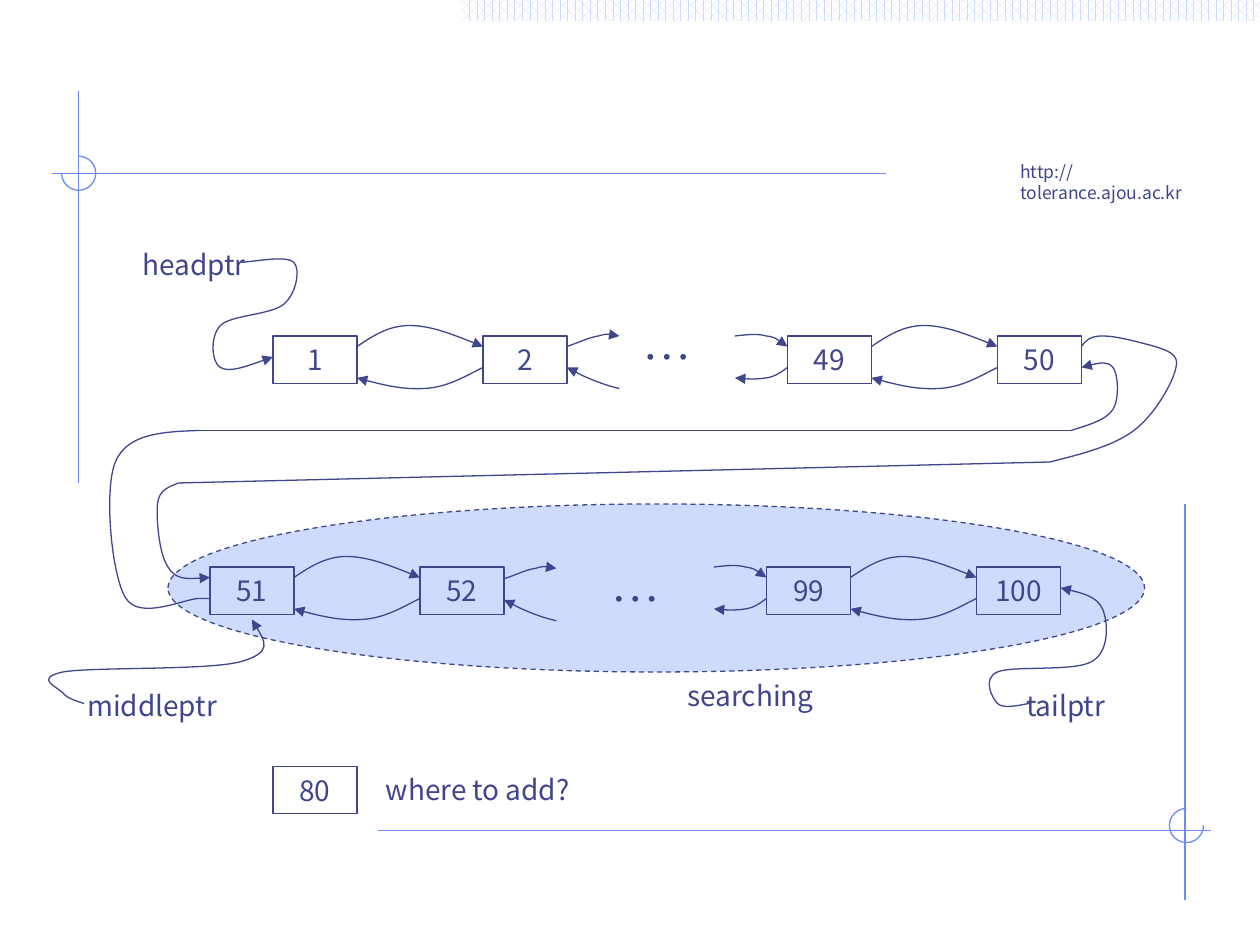
"""Build a slide on adding a node to a doubly linked list with a middle pointer."""
from lxml.etree import SubElement
from pptx import Presentation
from pptx.dml.color import RGBColor
from pptx.enum.dml import MSO_LINE, MSO_PATTERN
from pptx.enum.shapes import MSO_CONNECTOR, MSO_SHAPE
from pptx.enum.text import MSO_ANCHOR, PP_ALIGN
from pptx.oxml.ns import qn
from pptx.util import Pt

PX = 9525
INK = RGBColor(0x40, 0x45, 0x8C)
RULE = RGBColor(0x6F, 0x89, 0xF7)
PALE = RGBColor(0xCF, 0xDB, 0xFD)
WHITE = RGBColor(0xFF, 0xFF, 0xFF)
SANS = "Noto Sans CJK KR"
NODE_W, NODE_H = 64, 36

prs = Presentation()
prs.slide_width, prs.slide_height = 960 * PX, 720 * PX
s = prs.slides.add_slide(prs.slide_layouts[6])


def write(sp, text, size=16, font=SANS, align=PP_ALIGN.CENTER, wrap=True):
    tf = sp.text_frame
    tf.word_wrap = wrap
    p = tf.paragraphs[0]
    p.text = text
    p.alignment = align
    p.font.size = Pt(size)
    p.font.name = font
    p.font.color.rgb = INK


def curve(points, x=0, y=0, arrow=True):
    pts = [(x + dx, y + dy) for dx, dy in points]
    fb = s.shapes.build_freeform(*pts[0], scale=PX)
    fb.add_line_segments(pts[1:], close=False)
    sp = fb.convert_to_shape()
    sp.shadow.inherit = False
    sp.fill.background()
    sp.line.color.rgb = INK
    sp.line.width = Pt(0.75)
    outline = sp._element.find(".//" + qn("a:path"))
    segments = list(outline)[1:]
    for i in range(0, len(segments), 3):
        bezier = SubElement(outline, qn("a:cubicBezTo"))
        for segment in segments[i:i + 3]:
            bezier.append(segment[0])
            outline.remove(segment)
    if arrow:
        SubElement(sp.line._get_or_add_ln(), qn("a:tailEnd"), type="triangle")


band = s.shapes.add_shape(MSO_SHAPE.RECTANGLE, 352 * PX, 0, 608 * PX, 16 * PX)
band.shadow.inherit = False
band.fill.patterned()
band.fill.pattern = MSO_PATTERN.PERCENT_60
band.fill.fore_color.rgb = PALE
band.fill.back_color.rgb = WHITE
band.line.fill.background()

url = s.shapes.add_textbox(768 * PX, 118 * PX, 182 * PX, 26 * PX)
write(url, "http://tolerance.ajou.ac.kr", 10, align=PP_ALIGN.LEFT, wrap=False)

for x1, y1, x2, y2, color in [
    (288, 633, 923, 633, RULE), (903, 384, 903, 686, RULE),
    (60, 69, 60, 368, RULE), (675, 132, 40, 132, RULE),
    (800, 352, 136, 368, INK), (152, 328, 816, 328, INK),
]:
    line = s.shapes.add_connector(MSO_CONNECTOR.STRAIGHT, x1 * PX, y1 * PX, x2 * PX, y2 * PX)
    line.line.color.rgb = color
    line.line.width = Pt(0.75)
    SubElement(line._element.spPr, qn("a:effectLst"))

for x, y, start, end in [(891, 616, 0, 162), (47, 119, 162, 108)]:
    arc = s.shapes.add_shape(MSO_SHAPE.ARC, x * PX, y * PX, 26 * PX, 26 * PX)
    arc.adjustments[0], arc.adjustments[1] = start, end
    arc.shadow.inherit = False
    arc.fill.background()
    arc.line.color.rgb = RULE
    arc.line.width = Pt(0.75)

area = s.shapes.add_shape(MSO_SHAPE.OVAL, 128 * PX, 384 * PX, 744 * PX, 128 * PX)
area.shadow.inherit = False
area.fill.solid()
area.fill.fore_color.rgb = PALE
area.line.color.rgb = INK
area.line.width = Pt(0.75)
area.line.dash_style = MSO_LINE.DASH

for text, x, y in [
    ("1", 208, 256), ("2", 368, 256), ("49", 600, 256), ("50", 760, 256),
    ("51", 160, 432), ("52", 320, 432), ("99", 584, 432), ("100", 744, 432),
    ("80", 208, 584),
]:
    node = s.shapes.add_shape(MSO_SHAPE.RECTANGLE, x * PX, y * PX, NODE_W * PX, NODE_H * PX)
    node.shadow.inherit = False
    node.fill.background()
    node.line.color.rgb = INK
    node.line.width = Pt(0.75)
    node.text_frame.vertical_anchor = MSO_ANCHOR.MIDDLE
    write(node, text)

for text, x, y, w in [
    ("headptr", 96, 184, 104), ("middleptr", 56, 520, 120), ("tailptr", 760, 520, 104),
    ("where to add?", 280, 584, 168), ("searching", 504, 512, 136),
]:
    write(s.shapes.add_textbox(x * PX, y * PX, w * PX, 36 * PX), text)

for x, y in [(480, 232), (456, 416)]:
    dots = s.shapes.add_textbox(x * PX, y * PX, 72 * PX, 55 * PX)
    write(dots, "…", 28, "Times New Roman", PP_ALIGN.LEFT)

NEXT = [(0, 8), (12, 0), (24, -8), (40, -8), (56, -8), (76, 0), (96, 8)]
PREV = [(96, 24), (82, 31), (69, 39), (52, 40), (36, 41), (18, 37), (0, 32)]
for x, y in [(272, 256), (664, 256), (224, 432), (648, 432)]:
    curve(NEXT, x, y)
    curve(PREV, x, y)

LEAVE_NEXT = [(0, 8), (9, 5), (17, 1), (24, 0), (31, -2), (36, -1), (40, 0)]
LEAVE_PREV = [(40, 40), (31, 38), (23, 35), (16, 32), (9, 29), (5, 26), (0, 24)]
ENTER_NEXT = [(0, 0), (9, -1), (17, -2), (24, 0), (31, 1), (36, 5), (40, 8)]
ENTER_PREV = [(40, 24), (36, 27), (31, 31), (24, 32), (17, 33), (9, 33), (0, 32)]
for leave_x, leave_y, enter_x, enter_y in [(432, 256, 560, 256), (384, 433, 544, 432)]:
    curve(LEAVE_NEXT, leave_x, leave_y)
    curve(LEAVE_PREV, leave_x, leave_y)
    curve(ENTER_NEXT, enter_x, enter_y)
    curve(ENTER_PREV, enter_x, enter_y)

HEAD = [(184, 200), (202, 198), (219, 195), (224, 200), (229, 205), (226, 224), (216, 232),
        (206, 240), (176, 240), (168, 248), (160, 256), (161, 276), (168, 280),
        (175, 284), (191, 278), (208, 272)]
MIDDLE = [(64, 536), (58, 534), (51, 532), (48, 528), (45, 524), (25, 517), (48, 512),
          (71, 508), (160, 511), (184, 504), (208, 497), (200, 485), (192, 472)]
TAIL = [(784, 536), (774, 538), (764, 540), (760, 536), (756, 532), (748, 517), (760, 512),
        (772, 507), (819, 512), (832, 504), (846, 496), (844, 473), (840, 464),
        (836, 455), (822, 451), (808, 448)]
INTO_51 = [(136, 368), (129, 371), (121, 373), (120, 384), (119, 395), (121, 422), (128, 432),
           (134, 442), (147, 441), (160, 440)]
INTO_50 = [(816, 328), (829, 324), (843, 320), (848, 312), (853, 304), (852, 285), (848, 280),
           (844, 275), (834, 277), (824, 280)]
for points in (HEAD, MIDDLE, TAIL, INTO_51, INTO_50):
    curve(points)

FROM_50 = [(824, 264), (827, 260), (830, 256), (840, 256), (850, 256), (865, 260), (880, 264)]
TURN_50 = [(880, 264), (889, 267), (899, 270), (896, 280), (894, 291), (880, 316), (864, 328),
           (848, 340), (824, 346), (800, 352)]
FROM_51 = [(160, 456), (161, 456), (162, 456), (152, 456), (141, 456), (107, 473), (96, 456),
           (85, 439), (79, 373), (88, 352), (97, 330), (125, 329), (152, 328)]
for points in (FROM_50, TURN_50, FROM_51):
    curve(points, arrow=False)

prs.save("out.pptx")
